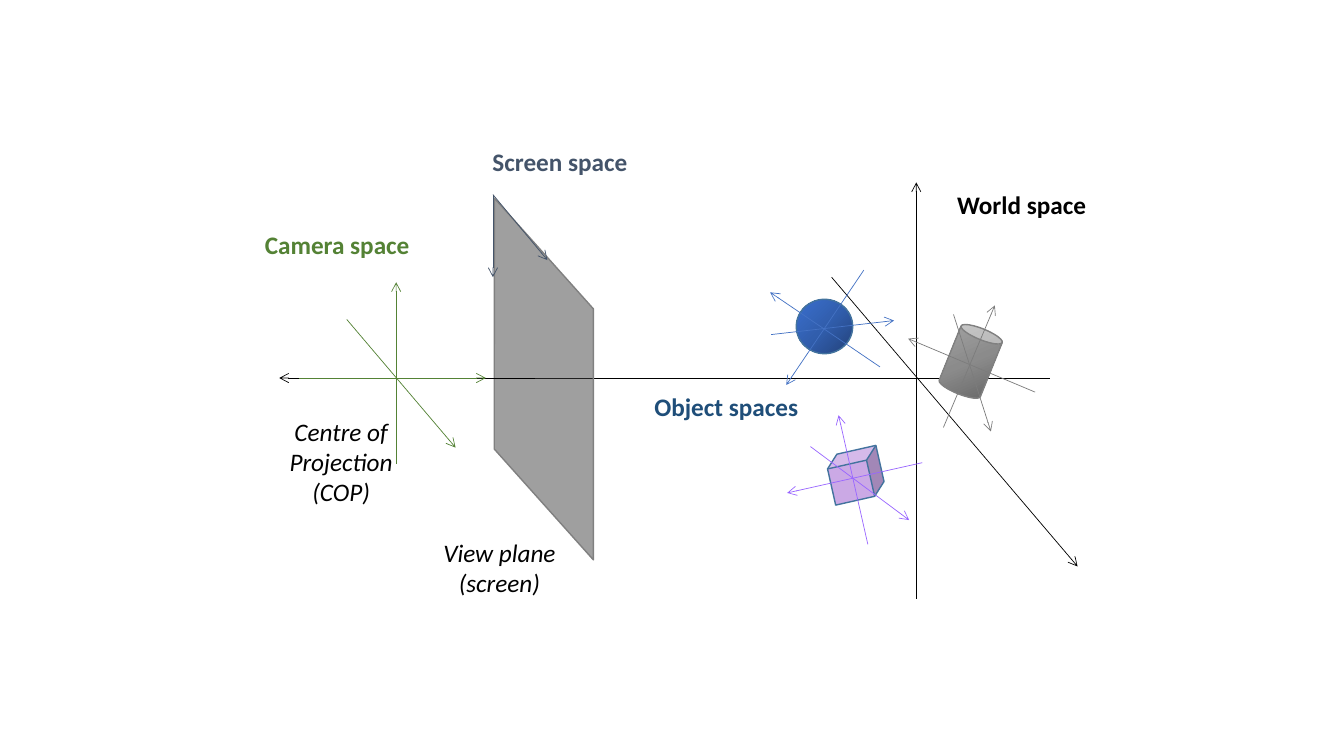
from dataclasses import dataclass

from lxml import etree
from pptx import Presentation
from pptx import util as u
from pptx.dml.color import RGBColor
from pptx.enum import shapes, text
from pptx.oxml.ns import qn

COLORS = {
    "world": "000000", "object": "1F4E79", "camera": "548235", "screen": "44546A",
    "cube axes": "9966FF", "sphere axes": "4472C4", "can axes": "7C7C7C",
    "cube": "CBA9E5", "plane": "404040", "blue edge": "43739E", "gray edge": "808080",
}
SPHERE_SHADES = ("23427A", "315EAD", "3A6FCE")
CAN_SHADES = ("626262", "8B8B8B", "A5A5A5")
LABEL_WIDTH = 128.9
HORIZON = 270


@dataclass
class Axis:
    color: str
    start: tuple[float, float]
    end: tuple[float, float]
    arrow: bool = True


@dataclass
class Solid:
    kind: shapes.MSO_SHAPE
    frame: tuple[float, float, float, float]
    edge: str
    fill: str = ""
    shades: tuple[str, ...] = ()
    rotation: float = 0


@dataclass
class Label:
    lines: tuple[str, ...]
    color: str
    frame: tuple[float, float, float, float]
    italic: bool = False
    wrap: bool = True


def rgb(name: str) -> RGBColor:
    return RGBColor.from_string(COLORS[name])


def draw_axis(page, axis: Axis) -> None:
    ends = [u.Pt(v) for v in (*axis.start, *axis.end)]
    line = page.shapes.add_connector(shapes.MSO_CONNECTOR.STRAIGHT, *ends)
    line.line.color.rgb = rgb(axis.color)
    line.line.width = u.Pt(0.5)
    if axis.arrow:
        etree.SubElement(line.line._get_or_add_ln(), qn("a:tailEnd"), type="arrow")
    etree.SubElement(line.element.spPr, qn("a:effectLst"))


def shade(shape, shades: tuple[str, ...]) -> None:
    """Fill with evenly spaced stops running up to the left."""
    shape.fill.gradient()
    gradient = shape.element.spPr.find(qn("a:gradFill"))
    stops = gradient.find(qn("a:gsLst"))
    for stop in list(stops):
        stops.remove(stop)
    for i, value in enumerate(shades):
        position = 100000 * i // (len(shades) - 1)
        stop = etree.SubElement(stops, qn("a:gs"), pos=str(position))
        etree.SubElement(stop, qn("a:srgbClr"), val=value)
    gradient.find(qn("a:lin")).set("ang", str(225 * 60000))


def draw_solid(page, solid: Solid):
    shape = page.shapes.add_shape(solid.kind, *(u.Pt(v) for v in solid.frame))
    shape.shadow.inherit = False
    shape.rotation = solid.rotation
    if solid.shades:
        shade(shape, solid.shades)
    else:
        shape.fill.solid()
        shape.fill.fore_color.rgb = rgb(solid.fill)
    shape.line.color.rgb = rgb(solid.edge)
    shape.line.width = u.Pt(1)
    return shape


def draw_view_plane(page) -> None:
    plane = draw_solid(page, Solid(shapes.MSO_SHAPE.PARALLELOGRAM, (268.6, 211, 239.8, 119.5),
                                   "gray edge", "plane", rotation=48.2))
    plane.adjustments[0] = 1.118
    properties = plane.element.spPr
    properties.find(qn("a:xfrm")).set("flipV", "1")
    color = properties.find(qn("a:solidFill")).find(qn("a:srgbClr"))
    etree.SubElement(color, qn("a:alpha"), val="50000")


def draw_label(page, label: Label) -> None:
    box = page.shapes.add_textbox(*(u.Pt(v) for v in label.frame))
    frame = box.text_frame
    frame.word_wrap = label.wrap
    frame.auto_size = text.MSO_AUTO_SIZE.SHAPE_TO_FIT_TEXT
    para = frame.paragraphs[0]
    para.alignment = text.PP_ALIGN.CENTER
    for i, words in enumerate(label.lines):
        if i:
            para.add_line_break()
        span = para.add_run()
        span.text = words
        span.font.name = "Calibri"
        span.font.size = u.Pt(18)
        span.font.bold = not label.italic
        span.font.italic = label.italic
        span.font.color.rgb = rgb(label.color)


WORLD_AXES = [
    Axis("world", (750, HORIZON), (199.5, HORIZON)),
    Axis("world", (654.5, 427.7), (654.5, 130.3)),
    Axis("world", (594, 198), (769.7, 404.6)),
]
SOLIDS = [
    Solid(shapes.MSO_SHAPE.OVAL, (568.8, 213.8, 40.3, 38.9), "blue edge", shades=SPHERE_SHADES),
    Solid(shapes.MSO_SHAPE.CUBE, (592.6, 321.8, 37.4, 35.3), "blue edge", "cube", rotation=347.3),
    Solid(shapes.MSO_SHAPE.CAN, (677.5, 233.3, 31.7, 49.7), "gray edge", shades=CAN_SHADES,
          rotation=22),
]
LOCAL_AXES = [
    # Line of sight through the view plane
    Axis("world", (313.9, HORIZON), (382.3, HORIZON), arrow=False),
    # Objects
    Axis("cube axes", (658.8, 330.5), (562.3, 352.1)),
    Axis("cube axes", (619.9, 388.8), (599, 296.6)),
    Axis("cube axes", (578.9, 319), (649.4, 371.5)),
    Axis("sphere axes", (617, 193), (561.6, 275)),
    Axis("sphere axes", (628.6, 262.1), (550.1, 208.8)),
    Axis("sphere axes", (550.8, 239), (638.6, 229)),
    Axis("can axes", (739.4, 280.1), (648.7, 241.9)),
    Axis("can axes", (673.9, 305.3), (710.6, 218.2)),
    Axis("can axes", (681.1, 224.6), (707.8, 308.2)),
    # Camera
    Axis("camera", (213.8, HORIZON), (347, HORIZON)),
    Axis("camera", (283, 331.2), (283, 201.6)),
    Axis("camera", (247.7, 228.2), (325.4, 319.7)),
    # Screen
    Axis("screen", (352.1, 139), (352.1, 198)),
    Axis("screen", (352.1, 139), (391, 185.8)),
]
LABELS = [
    Label(("Centre of Projection (COP)",), "world", (177.8, 293.8, 131.8, 72.7), italic=True),
    Label(("View plane", "(screen)"), "world", (306, 380.2, 101.5, 51.1), italic=True, wrap=False),
    Label(("World space",), "world", (665.3, 131.8, LABEL_WIDTH, 28.8)),
    Label(("Object spaces",), "object", (454.3, 275.8, LABEL_WIDTH, 28.8)),
    Label(("Camera space",), "camera", (176.4, 160.6, LABEL_WIDTH, 28.8)),
    Label(("Screen space",), "screen", (335.5, 100.8, LABEL_WIDTH, 51.1)),
]


def main() -> None:
    deck = Presentation()
    deck.slide_width, deck.slide_height = u.Pt(960), u.Pt(540)
    page = deck.slides.add_slide(deck.slide_layouts[6])
    for axis in WORLD_AXES:
        draw_axis(page, axis)
    for solid in SOLIDS:
        draw_solid(page, solid)
    draw_view_plane(page)
    for axis in LOCAL_AXES:
        draw_axis(page, axis)
    for label in LABELS:
        draw_label(page, label)
    deck.save("out.pptx")


if __name__ == "__main__":
    main()
